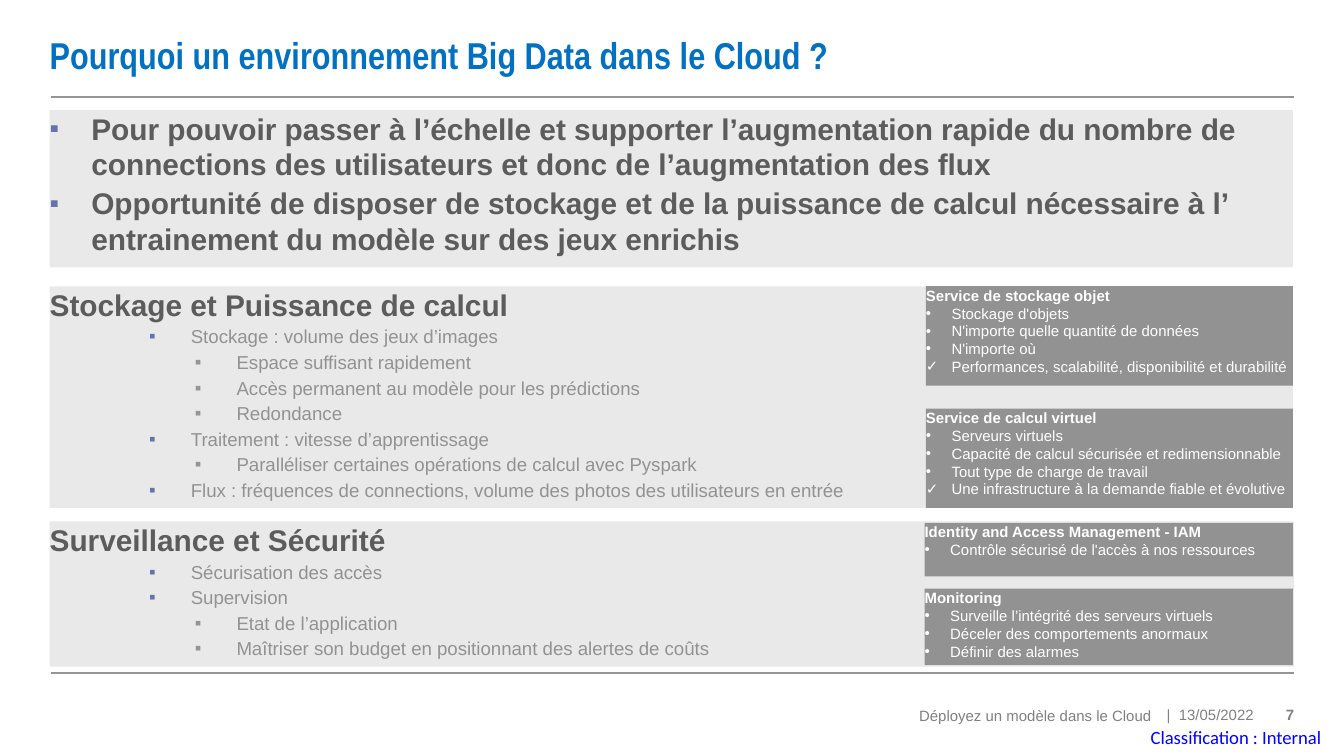
from dataclasses import dataclass

from lxml import etree
from pptx import Presentation
from pptx.dml.color import RGBColor
from pptx.enum.shapes import MSO_CONNECTOR, MSO_SHAPE
from pptx.enum.text import MSO_ANCHOR, PP_ALIGN
from pptx.oxml.ns import qn
from pptx.util import Inches, Pt

RECTANGLE = MSO_SHAPE.RECTANGLE
STRAIGHT = MSO_CONNECTOR.STRAIGHT
TOP, MIDDLE = MSO_ANCHOR.TOP, MSO_ANCHOR.MIDDLE
LEFT, CENTER, RIGHT = PP_ALIGN.LEFT, PP_ALIGN.CENTER, PP_ALIGN.RIGHT

PANEL_GREY, CARD_GREY, RULE_GREY, FOOTER_GREY = "E9E9E9", "929292", "939598", "808080"
HEADING_GREY, BULLET_BLUE, WHITE = "5C5C5C", "6473AF", "FFFFFF"


@dataclass(frozen=True)
class Style:
    size: float
    color: str
    bold: bool = False
    font: str = "Arial"
    indent: float = 0
    hanging: float = 0
    bullet: str = ""
    bullet_color: str = ""
    bullet_percent: int = 100
    space_before: float = 0


@dataclass(frozen=True)
class Line:
    text: str
    style: Style


@dataclass(frozen=True)
class Block:
    left: float
    top: float
    width: float
    height: float
    lines: list[Line]
    fill: str = ""
    align: PP_ALIGN = LEFT
    anchor: MSO_ANCHOR = TOP
    wrap: bool = True
    right_inset: float = 0


TITLE = Style(20, "0070C0", True, "Arial Narrow")
FOOTER = Style(8, FOOTER_GREY)
PAGE_NUMBER = Style(8, FOOTER_GREY, True)
CLASSIFICATION = Style(10, "0000FF", font="Calibri")
REASON = Style(16, HEADING_GREY, True, indent=0.31, hanging=0.31, bullet="▪",
               bullet_color=BULLET_BLUE, bullet_percent=90, space_before=1.7)
HEADING = Style(16, HEADING_GREY, True)
TOPIC = Style(10, CARD_GREY, indent=1.05, hanging=0.31, bullet="▪",
              bullet_color=BULLET_BLUE, space_before=1.7)
DETAIL = Style(10, CARD_GREY, indent=1.39, hanging=0.31, bullet="▪",
               bullet_color=RULE_GREY, space_before=1.7)
CARD_TITLE = Style(8, WHITE, True)
CARD_ITEM = Style(8, WHITE, indent=0.19, hanging=0.19, bullet="•")
CARD_CHECK = Style(8, WHITE, indent=0.19, hanging=0.19, bullet="✓")


def rgb(value: str) -> RGBColor:
    return RGBColor.from_string(value)


def set_bullet(para, style: Style) -> None:
    properties = para._p.get_or_add_pPr()
    properties.set("marL", str(Inches(style.indent)))
    properties.set("indent", str(-Inches(style.hanging)))
    if style.bullet_color:
        color = etree.SubElement(properties, qn("a:buClr"))
        etree.SubElement(color, qn("a:srgbClr"), val=style.bullet_color)
    if style.bullet_percent != 100:
        etree.SubElement(properties, qn("a:buSzPct"), val=str(style.bullet_percent * 1000))
    etree.SubElement(properties, qn("a:buFont"), typeface="Arial")
    etree.SubElement(properties, qn("a:buChar"), char=style.bullet)


def write_lines(frame, block: Block) -> None:
    frame_format = {"margin_left": 0, "margin_top": 0, "margin_bottom": 0,
                    "margin_right": Inches(block.right_inset),
                    "word_wrap": block.wrap, "vertical_anchor": block.anchor}
    for name, value in frame_format.items():
        setattr(frame, name, value)
    for index, line in enumerate(block.lines):
        style = line.style
        para = frame.add_paragraph() if index else frame.paragraphs[0]
        para.alignment = block.align
        if style.bullet:
            set_bullet(para, style)
        para.space_before = Pt(style.space_before if index else 0)
        span = para.add_run()
        span.text = line.text
        span_format = {"size": Pt(style.size), "name": style.font, "bold": style.bold}
        for name, value in span_format.items():
            setattr(span.font, name, value)
        span.font.color.rgb = rgb(style.color)


def draw_block(page, block: Block) -> None:
    place = [Inches(value) for value in (block.left, block.top, block.width, block.height)]
    if block.fill:
        box = page.shapes.add_shape(RECTANGLE, *place)
        box.shadow.inherit = False
        box.fill.solid()
        box.fill.fore_color.rgb = rgb(block.fill)
        box.line.fill.background()
    else:
        box = page.shapes.add_textbox(*place)
    write_lines(box.text_frame, block)


def draw_rule(page, top: float) -> None:
    rule = page.shapes.add_connector(STRAIGHT, Inches(0.38), Inches(top), Inches(9.63), Inches(top))
    rule.line.color.rgb = rgb(RULE_GREY)
    rule.line.width = Pt(1)
    etree.SubElement(rule._element.spPr, qn("a:effectLst"))


def card(left: float, top: float, height: float, title: str, items: list[str],
         check: str = "") -> Block:
    lines = [Line(title, CARD_TITLE)] + [Line(item, CARD_ITEM) for item in items]
    if check:
        lines.append(Line(check, CARD_CHECK))
    return Block(left, top, 9.62 - left, height, lines, CARD_GREY)


FURNITURE = [
    Block(4.47, 5.21, 4.1, 0.23, [Line("Déployez un modèle dans le Cloud", FOOTER)],
          align=RIGHT, anchor=MIDDLE),
    Block(9.43, 5.24, 0.2, 0.15, [Line("7", PAGE_NUMBER)],
          align=RIGHT, anchor=MIDDLE, wrap=False),
    Block(8.62, 5.24, 0.77, 0.15, [Line("|  13/05/2022", FOOTER)],
          align=CENTER, anchor=MIDDLE, wrap=False),
    Block(8.4, 5.34, 1.6, 0.29, [Line("Classification : Internal", CLASSIFICATION)],
          align=RIGHT, anchor=MIDDLE, right_inset=0.17),
    Block(0.37, 0.1, 9.25, 0.61, [Line("Pourquoi un environnement Big Data dans le Cloud ?", TITLE)],
          anchor=MIDDLE),
]

PANELS = [
    Block(0.37, 3.88, 9.26, 1.08, [
        Line("Surveillance et Sécurité", HEADING),
        Line("Sécurisation des accès", TOPIC),
        Line("Supervision", TOPIC),
        Line("Etat de l’application", DETAIL),
        Line("Maîtriser son budget en positionnant des alertes de coûts", DETAIL),
    ], PANEL_GREY),
    Block(0.37, 0.82, 9.25, 1.17, [
        Line("Pour pouvoir passer à l’échelle et supporter l’augmentation rapide du nombre de "
             "connections des utilisateurs et donc de l’augmentation des flux", REASON),
        Line("Opportunité de disposer de stockage et de la puissance de calcul nécessaire à l’ "
             "entrainement du modèle sur des jeux enrichis", REASON),
    ], PANEL_GREY),
    Block(0.37, 2.13, 9.25, 1.65, [
        Line("Stockage et Puissance de calcul", HEADING),
        Line("Stockage : volume des jeux d’images", TOPIC),
        Line("Espace suffisant rapidement", DETAIL),
        Line("Accès permanent au modèle pour les prédictions", DETAIL),
        Line("Redondance", DETAIL),
        Line("Traitement : vitesse d’apprentissage", TOPIC),
        Line("Paralléliser certaines opérations de calcul avec Pyspark", DETAIL),
        Line("Flux : fréquences de connections, volume des photos des utilisateurs en entrée", TOPIC),
    ], PANEL_GREY),
]

CARDS = [
    card(6.89, 2.13, 0.74, "Service de stockage objet",
         ["Stockage d'objets", "N'importe quelle quantité de données", "N'importe où"],
         "Performances, scalabilité, disponibilité et durabilité"),
    card(6.89, 3.04, 0.74, "Service de calcul virtuel",
         ["Serveurs virtuels", "Capacité de calcul sécurisée et redimensionnable",
          "Tout type de charge de travail"],
         "Une infrastructure à la demande fiable et évolutive"),
    card(6.88, 3.89, 0.4, "Identity and Access Management - IAM",
         ["Contrôle sécurisé de l'accès à nos ressources"]),
    card(6.88, 4.38, 0.57, "Monitoring",
         ["Surveille l’intégrité des serveurs virtuels", "Déceler des comportements anormaux",
          "Définir des alarmes"]),
]


def main() -> None:
    deck = Presentation()
    deck.slide_width = Inches(10)
    deck.slide_height = deck.slide_width * 9 // 16
    page = deck.slides.add_slide(deck.slide_layouts[6])
    for top in (0.72, 5.01):
        draw_rule(page, top)
    for block in FURNITURE + PANELS + CARDS:
        draw_block(page, block)
    deck.save("out.pptx")


if __name__ == "__main__":
    main()
